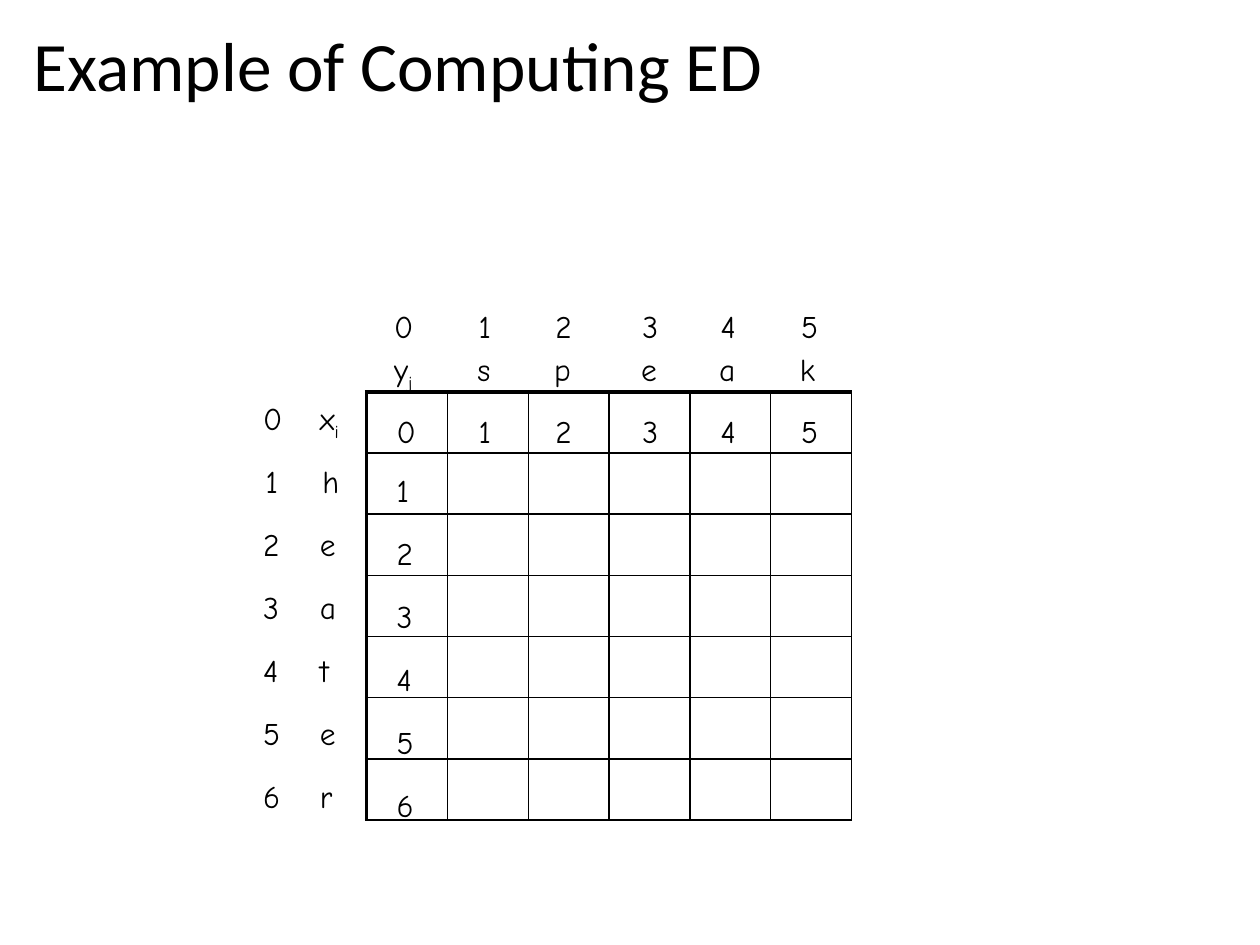
from lxml import etree
from pptx import Presentation
from pptx.dml.color import RGBColor
from pptx.enum.text import MSO_ANCHOR, MSO_AUTO_SIZE
from pptx.oxml.ns import qn
from pptx.util import Inches, Pt

MIDDLE = MSO_ANCHOR.MIDDLE
GROW = MSO_AUTO_SIZE.SHAPE_TO_FIT_TEXT

COLUMN_LEFTS = [3.03, 3.7, 4.31, 5, 5.62, 6.26]
ROW_TOP, ROW_PITCH = 3.12, 0.5
WIDTHS = {"1": 0.31, "s": 0.32, "t": 0.32, "r": 0.32, "a": 0.33,
          "p": 0.34, "e": 0.34, "k": 0.34, "y": 0.4, "x": 0.4}


def color(value):
    return RGBColor.from_string(value)


def write(p, text, font="Comic Neue", size=18, fill="000000", baseline=0):
    r = p.add_run()
    r.text = text
    r.font.name = font
    r.font.size = Pt(size)
    r.font.color.rgb = color(fill)
    if baseline:
        r._r.get_or_add_rPr().set("baseline", str(baseline * 1000))


class Board:
    line = "000000"

    def __init__(self, prs):
        self.s = prs.slides.add_slide(prs.slide_layouts[6])

    def title(self, text, left, top, width, height):
        sp = self.s.shapes.add_textbox(Inches(left), Inches(top), Inches(width), Inches(height))
        tf = sp.text_frame
        tf.word_wrap = True
        tf.vertical_anchor = MIDDLE
        p = tf.paragraphs[0]
        p.line_spacing = 0.9
        write(p, text, font="Calibri", size=39.6)

    def label(self, text, left, top, sub="", parent=None):
        shapes = (parent or self.s).shapes
        width = WIDTHS.get(text, 0.35)
        sp = shapes.add_textbox(Inches(left), Inches(top), Inches(width), Inches(0.4))
        tf = sp.text_frame
        tf.word_wrap = False
        tf.auto_size = GROW
        write(tf.paragraphs[0], text)
        if sub:
            write(tf.paragraphs[0], sub, baseline=-25)

    def group(self):
        return self.s.shapes.add_group_shape()

    def border(self, cell, side, width):
        ln = etree.SubElement(cell._tc.get_or_add_tcPr(), qn(f"a:ln{side}"), w=str(Pt(width)))
        fill = etree.SubElement(ln, qn("a:solidFill"))
        etree.SubElement(fill, qn("a:srgbClr"), val=self.line)

    def grid(self, rows, cols, left, top, width, height):
        table = self.s.shapes.add_table(
            rows, cols, Inches(left), Inches(top), Inches(width), Inches(height)).table
        table.first_row = table.horz_banding = False
        for i in range(rows):
            for j in range(cols):
                cell = table.cell(i, j)
                for side in "LRTB":
                    outer = (side == "L" and j == 0) or (side == "T" and i == 0)
                    self.border(cell, side, 2.25 if outer else 1)
                cell.fill.background()


def main():
    prs = Presentation()
    prs.slide_width, prs.slide_height = Inches(10), Inches(7.5)
    board = Board(prs)
    board.title("Example of Computing ED", 0.17, 0.18, 9.62, 0.74)
    board.grid(7, 6, 2.91, 3.11, 3.85, 3.4)

    for j, (letter, left) in enumerate(zip("yspeak", COLUMN_LEFTS)):
        board.label(str(j), left, 2.39)
        board.label(letter, left - 0.01 if j else left, 2.73, sub="" if j else "j")

    for i, letter in enumerate("xheater"):
        top = ROW_TOP + ROW_PITCH * i
        board.label(str(i), 2.01 if i == 1 else 1.99, top)
        board.label(letter, 2.46 if letter == "h" else 2.44, top, sub="" if i else "i")

    first_row = board.group()
    for j, left in enumerate(COLUMN_LEFTS[1:], 1):
        board.label(str(j), left, 3.22, parent=first_row)

    first_column = board.group()
    for i in range(7):
        top = ROW_TOP + 0.07 + ROW_PITCH * i if i else 3.22
        board.label(str(i), 3.05, top, parent=first_column)

    prs.save("out.pptx")


if __name__ == "__main__":
    main()
